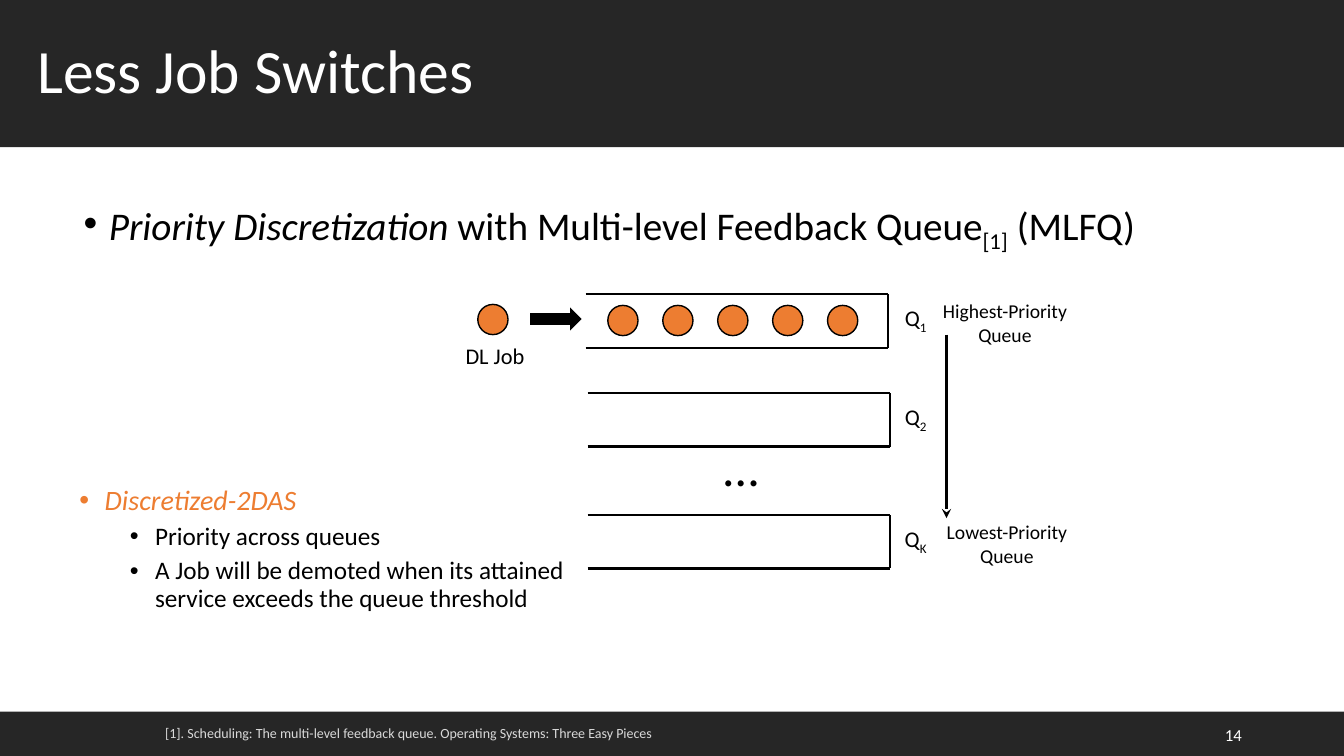
import pptx
import pptx.dml.color
import pptx.enum.shapes
import pptx.enum.text
import pptx.oxml.ns
import pptx.util
from lxml import etree

RGBColor = pptx.dml.color.RGBColor
Shape = pptx.enum.shapes.MSO_SHAPE
Align = pptx.enum.text.PP_ALIGN
Anchor = pptx.enum.text.MSO_ANCHOR
AutoSize = pptx.enum.text.MSO_AUTO_SIZE
Pt = pptx.util.Pt

BLACK = RGBColor(0x00, 0x00, 0x00)
WHITE = RGBColor(0xFF, 0xFF, 0xFF)
CHARCOAL = RGBColor(0x26, 0x26, 0x26)
SILVER = RGBColor(0xD9, 0xD9, 0xD9)
ORANGE = RGBColor(0xED, 0x7D, 0x31)

FONT = "Calibri"
CELL = pptx.util.Inches(0.1)
COLUMNS, ROWS = 133.33, 75
QUEUE_WIDTH, QUEUE_HEIGHT = 30, 5.3
JOB_SIZE, JOB_STEP = 3, 5.45


def grid(*cells):
    return [round(cell * CELL) for cell in cells]


def add_xml(parent, tag, **attributes):
    return etree.SubElement(parent, pptx.oxml.ns.qn(tag), **attributes)


def write(paragraph, text, size, color=BLACK, italic=False, subscript=False):
    run = paragraph.add_run()
    run.text = text
    run.font.name = FONT
    run.font.size = Pt(size)
    run.font.color.rgb = color
    run.font.italic = italic
    if subscript:
        run.font._element.set("baseline", "-25000")


def make_bullet(paragraph, indent, before):
    properties = paragraph._p.get_or_add_pPr()
    properties.set("marL", str(pptx.util.Inches(indent)))
    properties.set("indent", str(pptx.util.Inches(-0.25)))
    add_xml(properties, "a:buFont", typeface="Arial")
    add_xml(properties, "a:buChar", char="•")
    paragraph.line_spacing = 0.9
    paragraph.space_before = Pt(before)


def add_label(slide, area, lines, size, color=BLACK, align=Align.LEFT,
              anchor=Anchor.TOP, subscript=""):
    frame = slide.shapes.add_textbox(*grid(*area)).text_frame
    frame.word_wrap = False
    frame.auto_size = AutoSize.SHAPE_TO_FIT_TEXT
    frame.vertical_anchor = anchor
    for index, line in enumerate(lines):
        paragraph = frame.add_paragraph() if index else frame.paragraphs[0]
        paragraph.alignment = align
        write(paragraph, line, size, color)
    if subscript:
        write(paragraph, subscript, size, color, subscript=True)


def add_block(slide, kind, area, fill, outlined=False):
    block = slide.shapes.add_shape(kind, *grid(*area))
    block.shadow.inherit = False
    block.fill.solid()
    block.fill.fore_color.rgb = fill
    if outlined:
        block.line.color.rgb = BLACK
        block.line.width = Pt(1)
    else:
        block.line.fill.background()


def add_job(slide, left, top):
    add_block(slide, Shape.OVAL, (left, top, JOB_SIZE, JOB_SIZE), ORANGE, True)


def add_line(slide, start, end, width, arrow=False):
    line = slide.shapes.add_connector(
        pptx.enum.shapes.MSO_CONNECTOR.STRAIGHT, *grid(*start, *end))
    line.line.color.rgb = BLACK
    line.line.width = Pt(width)
    if arrow:
        add_xml(line.line._get_or_add_ln(), "a:tailEnd", type="stealth")
    add_xml(line._element.spPr, "a:effectLst")


def add_queue(slide, left, top, index):
    right, bottom = left + QUEUE_WIDTH, top + QUEUE_HEIGHT
    for start, end in (((left, top), (right, top)),
                       ((left, bottom), (right, bottom)),
                       ((right, bottom), (right, top))):
        add_line(slide, start, end, 1.5)
    add_label(slide, (88.3, top + 0.5, 4.6, 3.7), ["Q"], 16,
              align=Align.RIGHT, subscript=index)


def position(placeholder, area):
    (placeholder.left, placeholder.top,
     placeholder.width, placeholder.height) = grid(*area)


def add_heading(slide):
    heading = slide.shapes.title
    position(heading, (0, 0, COLUMNS, 14.6))
    heading.fill.solid()
    heading.fill.fore_color.rgb = CHARCOAL
    frame = heading.text_frame
    frame.auto_size = AutoSize.NONE
    frame.vertical_anchor = Anchor.MIDDLE
    frame.margin_left = pptx.util.Inches(0.37)
    paragraph = frame.paragraphs[0]
    paragraph.alignment = Align.LEFT
    paragraph.line_spacing = 0.9
    write(paragraph, "Less Job Switches", 44, WHITE)


def add_topic(slide):
    topic = slide.placeholders[1]
    position(topic, (7.3, 19.5, 115, 34))
    topic.text_frame.auto_size = AutoSize.NONE
    paragraph = topic.text_frame.paragraphs[0]
    make_bullet(paragraph, 0.25, 0)
    write(paragraph, "Priority Discretization ", 28, italic=True)
    write(paragraph, "with Multi-level Feedback Queue", 28)
    write(paragraph, "[1]", 28, subscript=True)
    write(paragraph, " (MLFQ)", 28)


def add_policy(slide):
    frame = slide.shapes.add_textbox(*grid(1.9, 47.8, 58.5, 22.9)).text_frame
    frame.word_wrap = True
    policy = frame.paragraphs[0]
    policy.level = 1
    make_bullet(policy, 0.75, 0)
    write(policy, "Discretized-2DAS", 20, ORANGE, italic=True)
    for rule in ("Priority across queues",
                 "A Job will be demoted when its attained service "
                 "exceeds the queue threshold"):
        paragraph = frame.add_paragraph()
        paragraph.level = 2
        make_bullet(paragraph, 1.25, 5)
        write(paragraph, rule, 18)


def add_footer(slide):
    add_block(slide, Shape.RECTANGLE, (0, 70.6, COLUMNS, ROWS - 70.6), CHARCOAL)
    add_label(slide, (94.2, 70.9, 30, 4), ["14"], 12, WHITE,
              Align.RIGHT, Anchor.MIDDLE)
    add_label(slide, (15.4, 71.4, 51.3, 2.7),
              ["[1]. Scheduling: The multi-level feedback queue. "
               "Operating Systems: Three Easy Pieces"], 10, SILVER)


def add_queues(slide):
    for left, top, index in ((58.1, 29.2, "1"), (58.3, 39, "2"),
                             (58.3, 51.1, "K")):
        add_queue(slide, left, top, index)
    for place in range(5):
        add_job(slide, 60.3 + place * JOB_STEP, 30.3)
    add_label(slide, (70.8, 42.7, 7.1, 7.1), ["…"], 36, anchor=Anchor.MIDDLE)

    add_job(slide, 47.4, 30.2)
    add_label(slide, (45.2, 33.5, 8.3, 3.7), ["DL Job"], 16)
    add_block(slide, Shape.RIGHT_ARROW, (52.6, 30.5, 5.1, 2.3), BLACK)

    for level, left, top in (("Highest", 92.4, 29.2), ("Lowest", 92.6, 51.1)):
        add_label(slide, (left, top, 14.6, 5.7),
                  [f"{level}-Priority", "Queue"], 14, align=Align.CENTER)
    add_line(slide, (93.9, 33.2), (93.9, 51.4), 2.25, arrow=True)


def main():
    deck = pptx.Presentation()
    deck.slide_width, deck.slide_height = grid(COLUMNS, ROWS)
    slide = deck.slides.add_slide(deck.slide_layouts[1])
    add_heading(slide)
    add_topic(slide)
    add_queues(slide)
    add_policy(slide)
    add_footer(slide)
    deck.save("out.pptx")


if __name__ == "__main__":
    main()
